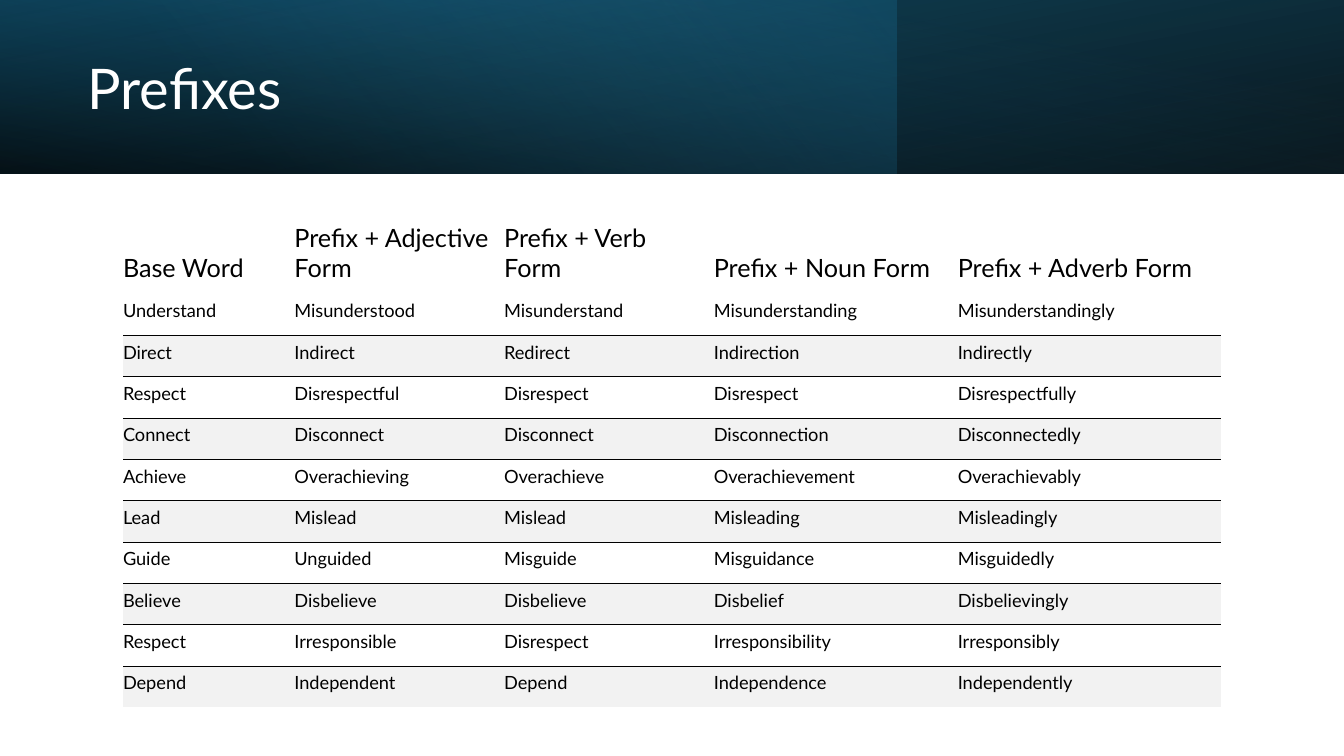
"""Build the Prefixes vocabulary slide."""
import dataclasses

import pptx
import pptx.dml.color
import pptx.enum.shapes
import pptx.enum.text
import pptx.oxml
import pptx.oxml.ns
import pptx.util

Inches = pptx.util.Inches
Pt = pptx.util.Pt
Anchor = pptx.enum.text.MSO_ANCHOR


@dataclasses.dataclass(frozen=True)
class Theme:
    """Hold the colours, font and type sizes of the slide."""
    font: str = "Lato"
    black: str = "000000"
    white: str = "FFFFFF"
    deep_teal: str = "104862"
    teal: str = "156082"
    sky: str = "46B1E1"
    band: str = "F2F2F2"
    title_size: int = 40
    header_size: int = 18
    body_size: int = 13
    rule_width: float = 0.75
    plain_table: str = "{2D5ABB26-0587-4C30-8999-92F81FD0307C}"


SLIDE_WIDTH, SLIDE_HEIGHT = 13.33, 7.5
BANNER_HEIGHT = 1.72
COLUMN_WIDTHS = [1.7, 2.08, 2.08, 2.42, 2.61]
HEADER_HEIGHT, ROW_HEIGHT = 0.77, 0.41
WORD_FORMS = [
    ["Base Word", "Prefix + Adjective Form", "Prefix + Verb Form", "Prefix + Noun Form", "Prefix + Adverb Form"],
    ["Understand", "Misunderstood", "Misunderstand", "Misunderstanding", "Misunderstandingly"],
    ["Direct", "Indirect", "Redirect", "Indirection", "Indirectly"],
    ["Respect", "Disrespectful", "Disrespect", "Disrespect", "Disrespectfully"],
    ["Connect", "Disconnect", "Disconnect", "Disconnection", "Disconnectedly"],
    ["Achieve", "Overachieving", "Overachieve", "Overachievement", "Overachievably"],
    ["Lead", "Mislead", "Mislead", "Misleading", "Misleadingly"],
    ["Guide", "Unguided", "Misguide", "Misguidance", "Misguidedly"],
    ["Believe", "Disbelieve", "Disbelieve", "Disbelief", "Disbelievingly"],
    ["Respect", "Irresponsible", "Disrespect", "Irresponsibility", "Irresponsibly"],
    ["Depend", "Independent", "Depend", "Independence", "Independently"],
]


def apply_format(target, values):
    """Set each named attribute on the target."""
    for name, value in values.items():
        setattr(target, name, value)


def drawing_element(tag, attributes, content):
    """Return a DrawingML element made from its tag, attributes and content."""
    namespace = pptx.oxml.ns.nsdecls("a")
    return pptx.oxml.parse_xml(f"<a:{tag} {namespace} {attributes}>{content}</a:{tag}>")


class SlideBuilder:
    """Draw styled elements on the current slide."""

    def __init__(self, slide, theme):
        """Keep the slide and its theme."""
        self.slide = slide
        self.theme = theme

    def add_text(self, paragraph, text, size, color):
        """Put one styled run in a paragraph."""
        run = paragraph.add_run()
        run.text = text
        apply_format(run.font, {"name": self.theme.font, "size": Pt(size)})
        run.font.color.rgb = pptx.dml.color.RGBColor.from_string(color)

    def gradient_band(self, width, stops, angle, rotation=0, flipped=False):
        """Add a banner layer with stops of position, colour and opacity."""
        shape = self.slide.shapes.add_shape(
            pptx.enum.shapes.MSO_SHAPE.RECTANGLE, 0, 0, Inches(width), Inches(BANNER_HEIGHT))
        shape.shadow.inherit = False
        shape.line.fill.background()
        shape.rotation = rotation
        if flipped:
            shape.element.spPr.xfrm.set("flipH", "1")
        shape.fill.gradient()
        shape.fill.gradient_angle = 360 - angle
        stop_list = shape.element.spPr.find(".//" + pptx.oxml.ns.qn("a:gsLst"))
        for stop in list(stop_list):
            stop_list.remove(stop)
        for position, color, opacity in stops:
            content = f'<a:srgbClr val="{color}"><a:alpha val="{opacity * 1000}"/></a:srgbClr>'
            stop_list.append(drawing_element("gs", f'pos="{position * 1000}"', content))

    def title(self, text, left, top, width, height):
        """Add the slide title."""
        box = self.slide.shapes.add_textbox(Inches(left), Inches(top), Inches(width), Inches(height))
        apply_format(box.text_frame, {"word_wrap": True, "vertical_anchor": Anchor.MIDDLE})
        paragraph = box.text_frame.paragraphs[0]
        paragraph.line_spacing = 0.9
        self.add_text(paragraph, text, self.theme.title_size, self.theme.white)

    def rule(self, cell, side):
        """Draw a border on one side of a cell."""
        content = f'<a:solidFill><a:srgbClr val="{self.theme.black}"/></a:solidFill>'
        width = Pt(self.theme.rule_width)
        cell._tc.get_or_add_tcPr().insert(0, drawing_element(side, f'w="{width}"', content))

    def cell(self, cell, text, row_index):
        """Style and fill a table cell according to its row."""
        is_header = row_index == 0
        apply_format(cell, {
            "margin_left": 0,
            "margin_top": Inches(0.02 if is_header else 0.03),
            "margin_right": Inches(0.07),
            "margin_bottom": Inches(0.11),
            "vertical_anchor": Anchor.BOTTOM if is_header else Anchor.MIDDLE,
        })
        size = self.theme.header_size if is_header else self.theme.body_size
        self.add_text(cell.text_frame.paragraphs[0], text, size, self.theme.black)
        if is_header or row_index % 2:
            cell.fill.background()
        else:
            cell.fill.solid()
            cell.fill.fore_color.rgb = pptx.dml.color.RGBColor.from_string(self.theme.band)
        if not is_header:
            self.rule(cell, "lnB" if row_index % 2 else "lnT")

    def table(self, rows, left, top):
        """Add the table of word forms."""
        height = HEADER_HEIGHT + ROW_HEIGHT * (len(rows) - 1)
        frame = self.slide.shapes.add_table(
            len(rows), len(COLUMN_WIDTHS), Inches(left), Inches(top),
            Inches(sum(COLUMN_WIDTHS)), Inches(height))
        table = frame.table
        apply_format(table, {"first_row": False, "horz_banding": False})
        table._tbl.tblPr.find(pptx.oxml.ns.qn("a:tableStyleId")).text = self.theme.plain_table
        for column, width in zip(table.columns, COLUMN_WIDTHS):
            column.width = Inches(width)
        for row_index, words in enumerate(rows):
            table.rows[row_index].height = Inches(ROW_HEIGHT if row_index else HEADER_HEIGHT)
            for column_index, word in enumerate(words):
                self.cell(table.cell(row_index, column_index), word, row_index)


def main():
    """Create and save the presentation."""
    presentation = pptx.Presentation()
    apply_format(presentation, {
        "slide_width": Inches(SLIDE_WIDTH), "slide_height": Inches(SLIDE_HEIGHT)})
    theme = Theme()
    builder = SlideBuilder(presentation.slides.add_slide(presentation.slide_layouts[6]), theme)
    builder.gradient_band(
        SLIDE_WIDTH, [(0, theme.black, 96), (100, theme.deep_teal, 100)], 100, rotation=180, flipped=True)
    builder.gradient_band(8.89, [(0, theme.teal, 41), (74, theme.sky, 0)], 140)
    builder.gradient_band(
        SLIDE_WIDTH, [(0, theme.black, 63), (78, theme.teal, 15)], 260, flipped=True)
    builder.title("Prefixes", 0.77, 0.27, 7.72, 1.27)
    builder.table(WORD_FORMS, 1.22, 2.15)
    presentation.save("out.pptx")


if __name__ == "__main__":
    main()
